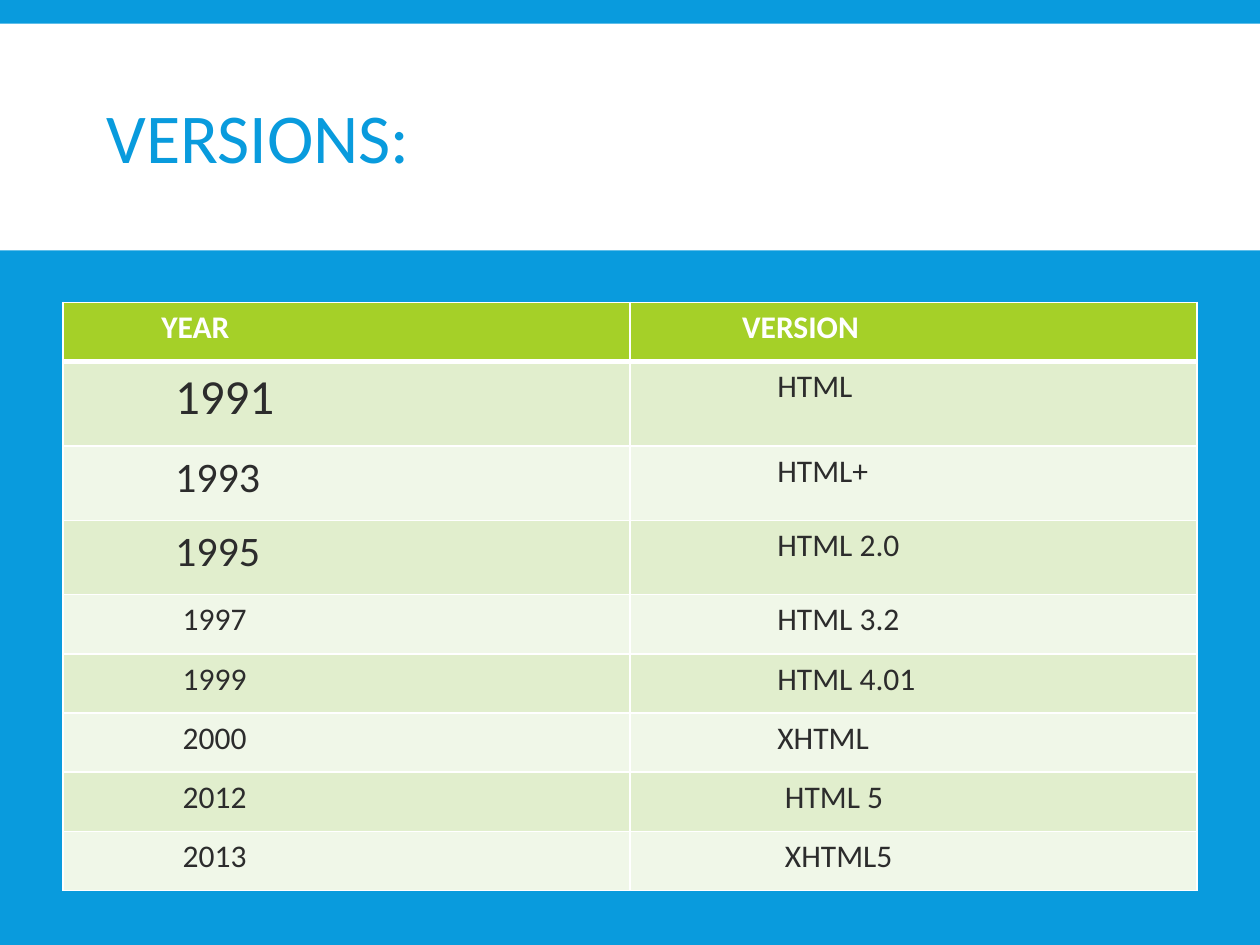
import pptx
import pptx.util
import pptx.dml.color
import pptx.enum.shapes
import pptx.enum.text
import lxml.etree

WIDE, HIGH = 10, 7.5
INK = {
    "blue": "099BDD", "white": "FFFFFF", "lime": "A5D028",
    "dark": "2C2C2C", "odd": "E1EECD", "even": "F0F7E8",
}
HEAD = ("YEAR", "VERSION")
# Year, version, year size, indents of both columns
ROWS = [
    ("1991", "HTML", 28, 0.89, 1.17),
    ("1993", "HTML+", 24, 0.89, 1.17),
    ("1995", "HTML 2.0", 24, 0.89, 1.17),
    ("1997", "HTML 3.2", 18, 0.95, 1.17),
    ("1999", "HTML 4.01", 18, 0.95, 1.17),
    ("2000", "XHTML", 18, 0.95, 1.17),
    ("2012", "HTML 5", 18, 0.95, 1.23),
    ("2013", "XHTML5", 18, 0.95, 1.23),
]
TALL = {18: 0.47, 24: 0.59, 28: 0.67}  # row height by text size


def inch(size):
    return pptx.util.Inches(size)


def paint(fill, name):
    fill.solid()
    fill.fore_color.rgb = pptx.dml.color.RGBColor.from_string(INK[name])


def area(left, top, width, height):
    """Turn shares of the slide into lengths."""
    return (inch(left * WIDE), inch(top * HIGH),
            inch(width * WIDE), inch(height * HIGH))


def write(frame, text, size=18, color="dark", bold=False, space=None):
    para = frame.paragraphs[0]
    para.line_spacing = space
    run = para.add_run()
    run.text = text
    run.font.name = "Calibri"
    run.font.size = pptx.util.Pt(size)
    run.font.bold = bold
    paint(run.font.fill, color)


def band(slide, *share):
    shape = slide.shapes.add_shape(
        pptx.enum.shapes.MSO_SHAPE.RECTANGLE, *area(*share))
    shape.shadow.inherit = False
    paint(shape.fill, "white")
    shape.line.fill.background()


def title(slide, text, *share):
    frame = slide.shapes.add_textbox(*area(*share)).text_frame
    frame.word_wrap = True
    frame.vertical_anchor = pptx.enum.text.MSO_ANCHOR.MIDDLE
    write(frame, text, size=40, color="blue", space=0.85)


def edge(cell, side, width):
    props = cell._tc.get_or_add_tcPr()
    space = "{" + props.nsmap["a"] + "}"
    line = lxml.etree.SubElement(
        props, space + "ln" + side, w=str(pptx.util.Pt(width)))
    fill = lxml.etree.SubElement(line, space + "solidFill")
    lxml.etree.SubElement(fill, space + "srgbClr", val=INK["white"])


def fill_cell(cell, text, back, indent, top=1, base=1, **style):
    for side, width in zip("LRTB", (1, 1, top, base)):
        edge(cell, side, width)
    paint(cell.fill, back)
    cell.margin_left = inch(indent)
    write(cell.text_frame, text, **style)


def grid(slide, *share):
    table = slide.shapes.add_table(len(ROWS) + 1, 2, *area(*share)).table

    # Header row
    table.rows[0].height = inch(TALL[18])
    for col, (text, indent) in enumerate(zip(HEAD, (0.78, 0.89))):
        fill_cell(table.cell(0, col), text, "lime", indent, base=3,
                  color="white", bold=True)

    # Banded body rows
    for row, (year, name, size, left, right) in enumerate(ROWS, 1):
        table.rows[row].height = inch(TALL[size])
        back = "odd" if row % 2 else "even"
        top = 3 if row == 1 else 1
        fill_cell(table.cell(row, 0), year, back, left, top, size=size)
        fill_cell(table.cell(row, 1), name, back, right, top)


def main():
    deck = pptx.Presentation()
    deck.slide_width, deck.slide_height = inch(WIDE), inch(HIGH)
    slide = deck.slides.add_slide(deck.slide_layouts[6])
    paint(slide.background.fill, "blue")

    # Title band
    band(slide, 0, 0.025, 1, 0.24)
    title(slide, "VERSIONS:", 0.075, 0.04, 0.85, 0.22)

    # Table of versions
    grid(slide, 0.05, 0.32, 0.9, 0.62)
    deck.save("out.pptx")


main()
